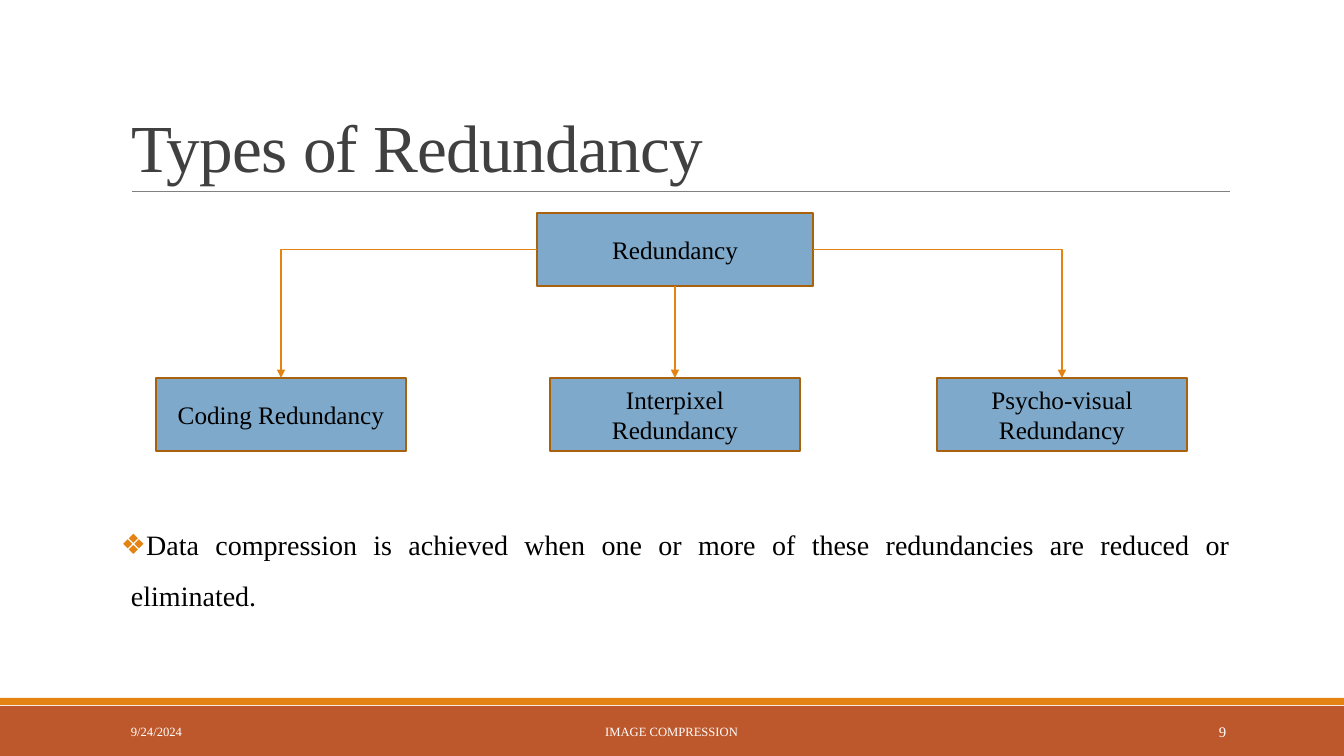
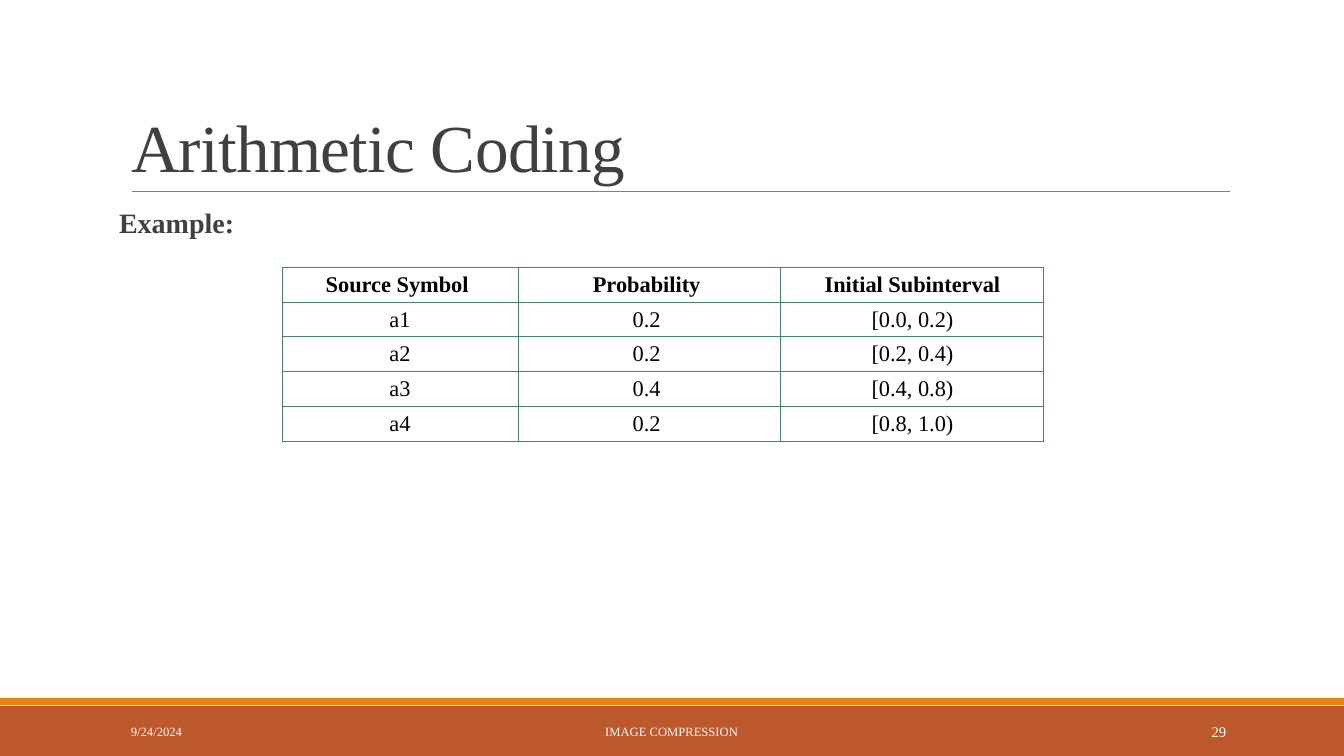
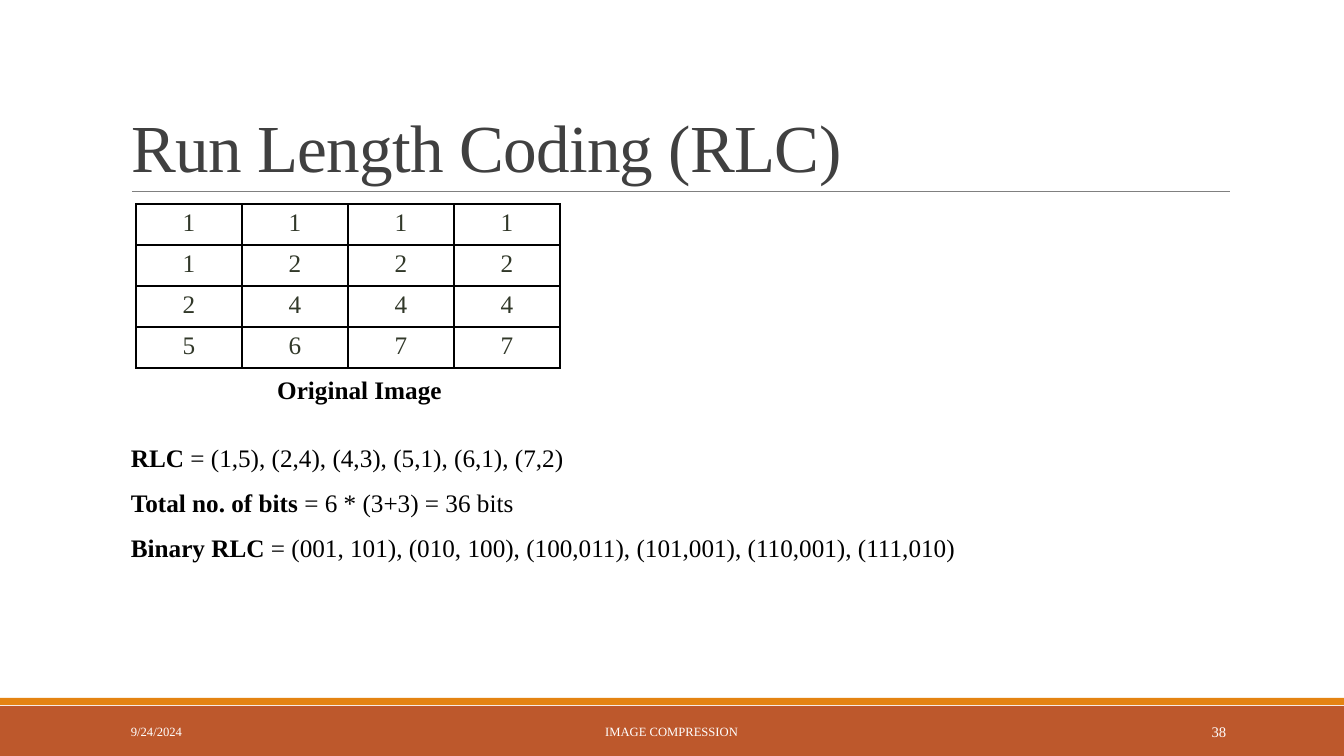
"""Builds three lecture slides on image compression."""
from lxml import etree
from pptx import Presentation
from pptx.dml.color import RGBColor
from pptx.enum.shapes import MSO_CONNECTOR, MSO_SHAPE
from pptx.enum.text import MSO_ANCHOR, MSO_AUTO_SIZE, PP_ALIGN
from pptx.oxml.ns import qn
from pptx.util import Pt

LEFT, MID, RIGHT, JUST = PP_ALIGN.LEFT, PP_ALIGN.CENTER, PP_ALIGN.RIGHT, PP_ALIGN.JUSTIFY
TOP, CENTRE, BOTTOM = MSO_ANCHOR.TOP, MSO_ANCHOR.MIDDLE, MSO_ANCHOR.BOTTOM
FIXED = MSO_AUTO_SIZE.NONE
STRAIGHT, ELBOW = MSO_CONNECTOR.STRAIGHT, MSO_CONNECTOR.ELBOW
RECT = MSO_SHAPE.RECTANGLE

BLACK = RGBColor(0, 0, 0)
WHITE = RGBColor(255, 255, 255)
INK = RGBColor(0x40, 0x40, 0x40)
GREY = RGBColor(0x80, 0x80, 0x80)
RUST = RGBColor(0xBD, 0x58, 0x2C)
ORANGE = RGBColor(0xE4, 0x83, 0x12)
BLUE = RGBColor(0x7E, 0xA9, 0xCA)
BROWN = RGBColor(0xA9, 0x61, 0x0D)
TEAL = RGBColor(0x46, 0x81, 0x73)
OLIVE = RGBColor(0x31, 0x38, 0x29)

FONT = "Times New Roman"
SCALE = 914400 / 100.8
WIDE, HIGH = 1344, 756

DATE, TOPIC = "9/24/2024", "IMAGE COMPRESSION"

ROOT = "Redundancy", (537, 213, 276, 73)
KINDS = [
    ("Coding Redundancy", 156, 1),
    ("Interpixel Redundancy", 550, 2),
    ("Psycho-visual Redundancy", 937, 3),
]
POINT = ("Data compression is achieved when one or more of these redundancies "
         "are reduced or eliminated.")

SYMBOLS = [
    ("Source Symbol ", "Probability ", "Initial Subinterval"),
    ("a1", "0.2 ", "[0.0, 0.2)"),
    ("a2", "0.2 ", "[0.2, 0.4)"),
    ("a3", "0.4 ", "[0.4, 0.8)"),
    ("a4", "0.2 ", "[0.8, 1.0)"),
]

PIXELS = ["1111", "1222", "2444", "5677"]
RESULTS = [
    ("RLC", " = (1,5), (2,4), (4,3), (5,1), (6,1), (7,2)"),
    ("Total no. of bits ", "= 6 * (3+3) = 36 bits"),
    ("Binary RLC ", "= (001, 101), (010, 100), (100,011), (101,001), (110,001), (111,010)"),
]


def px(n):
    return round(n * SCALE)


def area(box):
    return [px(n) for n in box]


def style(para, size, color, bold=False, align=LEFT, space=None):
    para.alignment = align
    if space:
        para.line_spacing = space
    for run in para.runs:
        font = run.font
        font.name, font.size, font.bold = FONT, Pt(size), bold
        font.color.rgb = color


def place(shape, box):
    shape.left, shape.top, shape.width, shape.height = area(box)


def label(slide, text, box, size, color, anchor=CENTRE, **look):
    frame = slide.shapes.add_textbox(*area(box)).text_frame
    frame.word_wrap = True
    frame.vertical_anchor = anchor
    frame.text = text
    style(frame.paragraphs[0], size, color, **look)
    return frame


def block(slide, box, color, edge=None):
    shape = slide.shapes.add_shape(RECT, *area(box))
    shape.shadow.inherit = False
    shape.fill.solid()
    shape.fill.fore_color.rgb = color
    if edge:
        shape.line.color.rgb = edge
        shape.line.width = Pt(1.25)
    else:
        shape.line.fill.background()
    return shape


def node(slide, text, box):
    shape = block(slide, box, BLUE, BROWN)
    frame = shape.text_frame
    frame.word_wrap = True
    frame.margin_left = frame.margin_right = px(12)
    frame.vertical_anchor = CENTRE
    frame.text = text
    style(frame.paragraphs[0], 18, BLACK, align=MID)
    return shape


def link(slide, kind, ends, color, width):
    line = slide.shapes.add_connector(kind, *area(ends))
    line.line.color.rgb = color
    line.line.width = Pt(width)
    etree.SubElement(line._element.spPr, qn("a:effectLst"))
    return line


def arrow(slide, start, side, end):
    kind = STRAIGHT if side == 2 else ELBOW
    line = link(slide, kind, (0, 0, 0, 0), ORANGE, 1)
    line.begin_connect(start, side)
    line.end_connect(end, 0)
    if kind == ELBOW:
        line._element.spPr.find(qn("a:prstGeom")).set("prst", "bentConnector2")
    etree.SubElement(line.line._get_or_add_ln(), qn("a:tailEnd"), type="triangle")


def base(deck, layout, title, page):
    slide = deck.slides.add_slide(deck.slide_layouts[layout])
    block(slide, (0, 706, WIDE, 50), RUST)
    block(slide, (0, 698, WIDE, 7), ORANGE)
    link(slide, STRAIGHT, (132, 191, 1230, 191), GREY, 0.5)
    head = slide.shapes.title
    place(head, (121, 31, 1109, 160))
    frame = head.text_frame
    frame.auto_size = FIXED
    frame.vertical_anchor = BOTTOM
    frame.text = title
    para = frame.paragraphs[0]
    style(para, 48, INK, space=0.85)
    para.runs[0]._r.get_or_add_rPr().set("spc", "-50")
    label(slide, DATE, (121, 712, 272, 40), 9, WHITE)
    label(slide, TOPIC, (406, 712, 531, 40), 9, WHITE, align=MID)
    label(slide, str(page), (1092, 712, 144, 40), 10.5, WHITE, align=RIGHT)
    return slide


def body(slide, text, box, color, mark=None, **look):
    shape = slide.placeholders[1]
    place(shape, box)
    frame = shape.text_frame
    frame.auto_size = FIXED
    frame.margin_left = frame.margin_right = 0
    frame.text = text
    para = frame.paragraphs[0]
    style(para, 20, color, **look)
    para.space_before, para.space_after = Pt(0), Pt(2)
    props = para._p.get_or_add_pPr()
    props.set("marL", str(px(10)))
    props.set("indent", str(px(-10) if mark else 0))
    if mark:
        tint = etree.SubElement(props, qn("a:buClr"))
        etree.SubElement(tint, qn("a:srgbClr"), val=str(ORANGE))
        etree.SubElement(props, qn("a:buChar"), char=mark)
    else:
        etree.SubElement(props, qn("a:buNone"))


def border(cell, color, width):
    props = cell._tc.get_or_add_tcPr()
    for spot, side in enumerate(("lnL", "lnR", "lnT", "lnB")):
        line = etree.Element(qn("a:" + side), w=str(Pt(width)))
        paint = etree.SubElement(line, qn("a:solidFill"))
        etree.SubElement(paint, qn("a:srgbClr"), val=str(color))
        props.insert(spot, line)


def grid(slide, rows, spot, widths, tall, size, color, edge, pad, anchor, head=False):
    box = (*spot, sum(widths), tall * len(rows))
    table = slide.shapes.add_table(len(rows), len(widths), *area(box)).table
    table.first_row = table.horz_banding = False
    for col, width in zip(table.columns, widths):
        col.width = px(width)
    for r, row in enumerate(rows):
        table.rows[r].height = px(tall)
        for c, text in enumerate(row):
            cell = table.cell(r, c)
            cell.fill.solid()
            cell.fill.fore_color.rgb = WHITE
            cell.margin_left = cell.margin_right = px(pad[0])
            cell.margin_top = cell.margin_bottom = px(pad[1])
            cell.vertical_anchor = anchor
            cell.text = text
            style(cell.text_frame.paragraphs[0], size, color, head and r == 0, MID)
            border(cell, *edge)


def types(deck):
    slide = base(deck, 1, "Types of Redundancy", 9)
    body(slide, POINT, (121, 506, 1109, 141), BLACK, "❖", align=JUST, space=1.5)
    root = node(slide, *ROOT)
    for text, left, side in KINDS:
        arrow(slide, root, side, node(slide, text, (left, 378, 250, 73)))


def coding(deck):
    slide = base(deck, 1, "Arithmetic Coding", 29)
    body(slide, "Example:", (109, 204, 1109, 444), INK, bold=True, space=0.9)
    grid(slide, SYMBOLS, (282, 267), (236, 263, 263), 35, 16, BLACK,
         (TEAL, 0.75), (10, 4), CENTRE, True)


def runs(deck):
    slide = base(deck, 5, "Run Length Coding (RLC)", 38)
    grid(slide, PIXELS, (136, 204), [106] * 4, 41, 18, OLIVE,
         (BLACK, 1), (20, 5), TOP)
    label(slide, "Original Image", (257, 369, 205, 40), 18, BLACK, TOP,
          bold=True, align=MID)
    frame = label(slide, "", (121, 422, 915, 142), 18, BLACK, TOP)
    for i, (name, value) in enumerate(RESULTS):
        para = frame.add_paragraph() if i else frame.paragraphs[0]
        para.text = name
        para.add_run().text = value
        style(para, 18, BLACK, align=JUST, space=1.5)
        para.runs[0].font.bold = True


def main():
    deck = Presentation()
    deck.slide_width, deck.slide_height = px(WIDE), px(HIGH)
    for build in (types, coding, runs):
        build(deck)
    deck.save("out.pptx")


if __name__ == "__main__":
    main()
